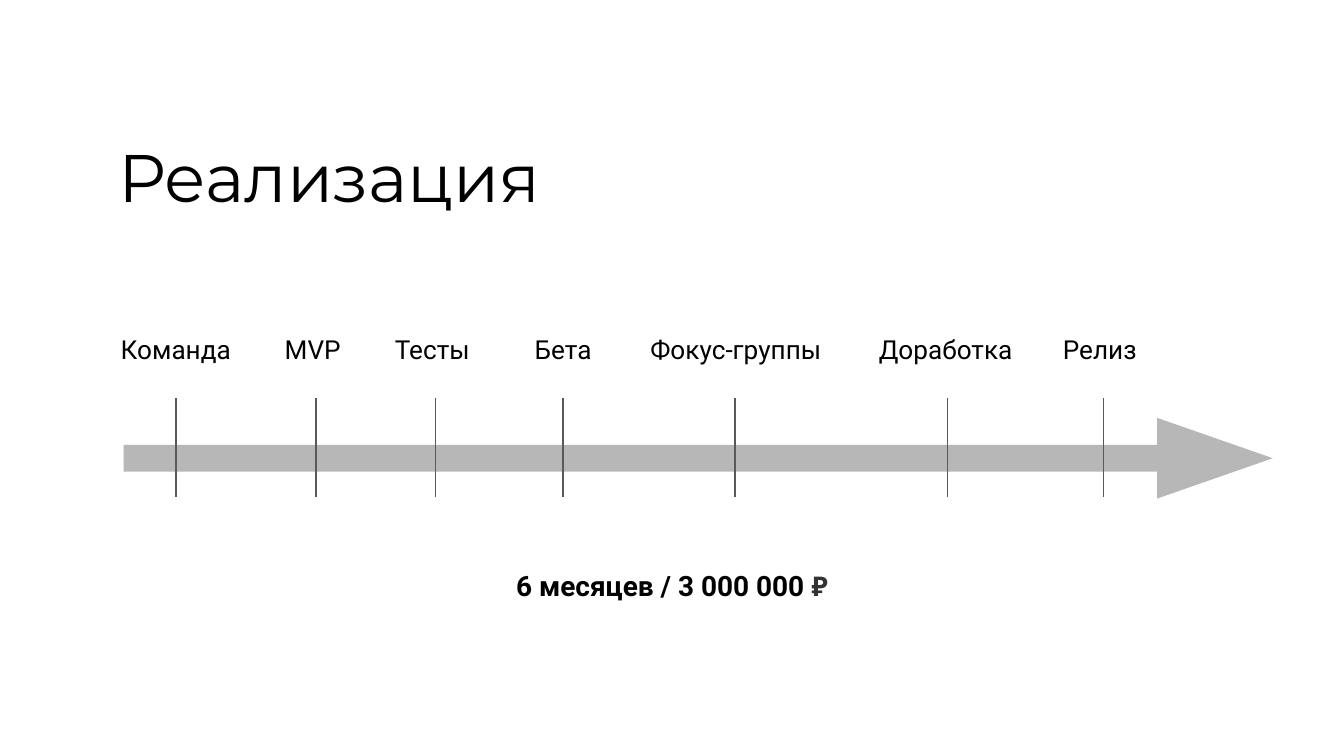
from lxml.etree import SubElement
from pptx import Presentation
from pptx.dml.color import RGBColor
from pptx.enum.shapes import MSO_CONNECTOR, MSO_SHAPE
from pptx.enum.text import MSO_ANCHOR, PP_ALIGN
from pptx.oxml.ns import qn
from pptx.util import Inches, Pt

# Content: stage name, label left, label width, tick position
TITLE = "Реализация"
STAGES = [
    ("Команда", 0.8, 1.14, 1.31),
    ("MVP", 2.02, 0.65, 2.35),
    ("Тесты", 2.84, 0.8, 3.24),
    ("Бета", 3.88, 0.8, 4.19),
    ("Фокус-группы", 4.74, 1.59, 5.47),
    ("Доработка", 6.44, 1.22, 7.05),
    ("Релиз", 7.81, 0.8, 8.21),
]
TOTAL = "6 месяцев / 3 000 000 "
SIGN = "₽"

# Styles: font, size, colour, bold
THEME = {
    "title": ("Montserrat", 36, "000000", False),
    "label": ("Roboto", 14, "000000", False),
    "total": ("Roboto", 15, "000000", True),
    "sign": ("Arial", 14.5, "333333", True),
    "arrow": "B7B7B7",
    "tick": "595959",
}

# Wide 16:9 slide
deck = Presentation()
deck.slide_width = Inches(10)
deck.slide_height = Inches(10) * 9 // 16
slide = deck.slides.add_slide(deck.slide_layouts[6])
shapes = slide.shapes


def add_text(box, runs, align=PP_ALIGN.LEFT):
    frame = shapes.add_textbox(*map(Inches, box)).text_frame
    frame.word_wrap = True
    frame.vertical_anchor = MSO_ANCHOR.TOP
    frame.margin_left = frame.margin_right = Inches(0.1)
    frame.margin_top = frame.margin_bottom = Inches(0.1)
    para = frame.paragraphs[0]
    para.alignment = align
    for text, style in runs:
        run = para.add_run()
        run.text = text
        font = run.font
        font.name, size, color, font.bold = THEME[style]
        font.size = Pt(size)
        font.color.rgb = RGBColor.from_string(color)


def add_block(kind, box, turn=0):
    block = shapes.add_shape(kind, *map(Inches, box))
    block.rotation = turn
    block.shadow.inherit = False
    block.fill.solid()
    block.fill.fore_color.rgb = RGBColor.from_string(THEME["arrow"])
    block.line.fill.background()


def add_tick(x, top, end):
    tick = shapes.add_connector(
        MSO_CONNECTOR.STRAIGHT, Inches(x), Inches(top), Inches(x), Inches(end))
    tick.line.color.rgb = RGBColor.from_string(THEME["tick"])
    tick.line.width = Pt(0.75)
    SubElement(tick._element.spPr, qn("a:effectLst"))


# Title, stage labels and total
add_text((0.78, 0.91, 9.32, 0.63), [(TITLE, "title")])
for name, left, width, _ in STAGES:
    add_text((left, 2.38, width, 0.44), [(name, "label")])
add_text((3.19, 4.13, 3.62, 0.45),
         [(TOTAL, "total"), (SIGN, "sign")], PP_ALIGN.CENTER)

# Timeline arrow: bar and head
add_block(MSO_SHAPE.RECTANGLE, (0.92, 3.31, 7.87, 0.2))
add_block(MSO_SHAPE.ISOSCELES_TRIANGLE, (8.74, 2.98, 0.6, 0.86), 90)

# Stage ticks
for *_, x in STAGES:
    add_tick(x, 2.96, 3.7)

deck.save("out.pptx")
